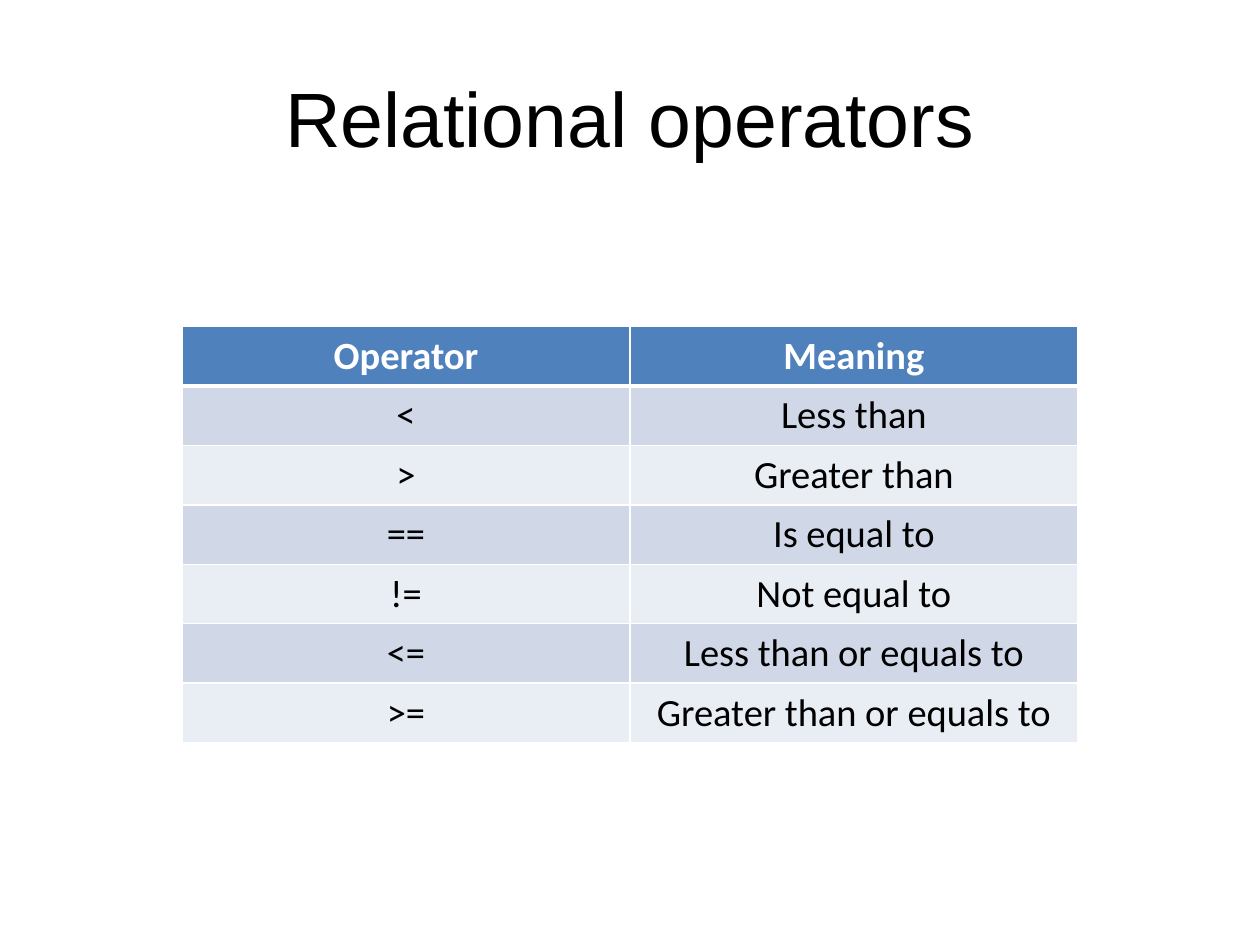
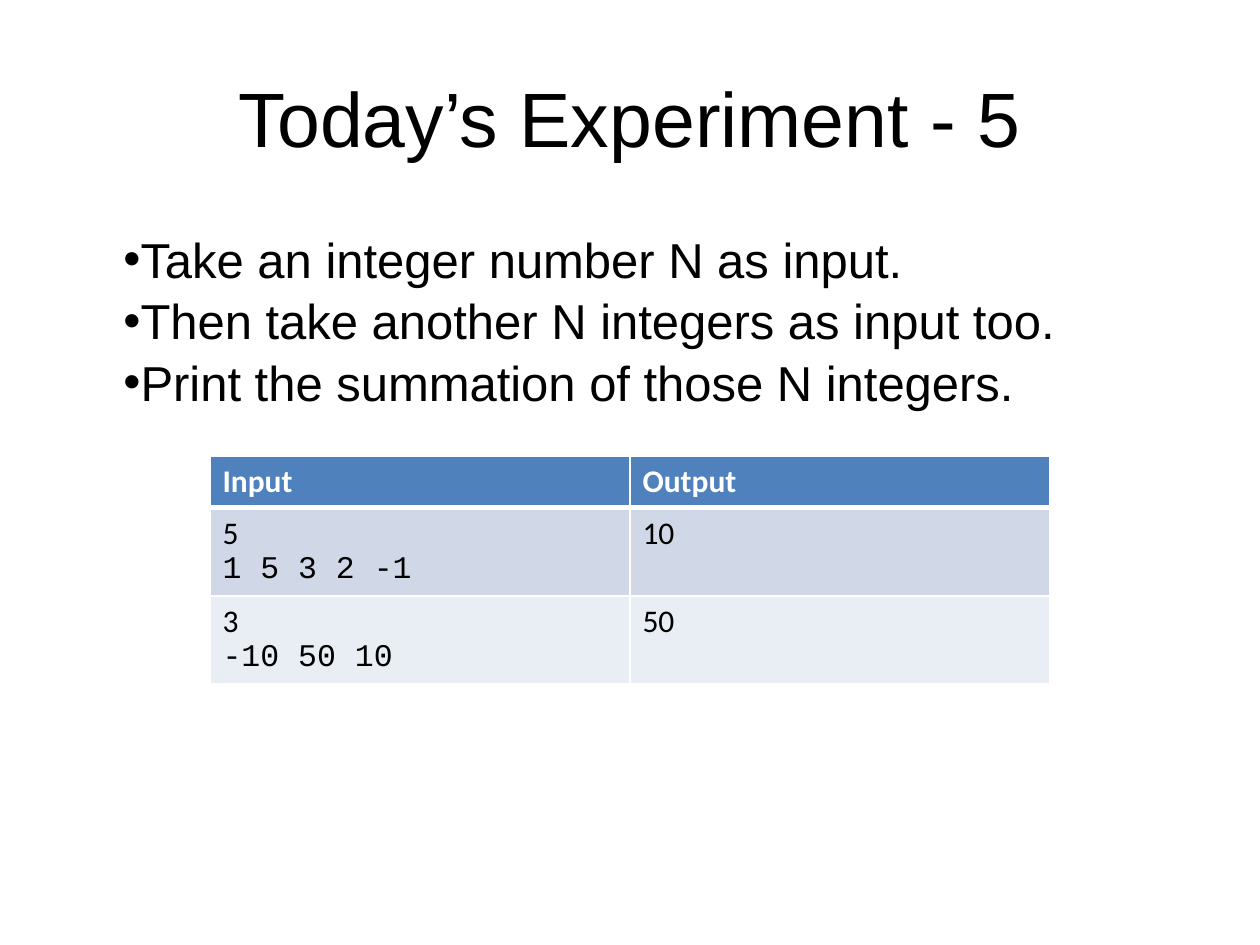
"""Build two slides on relational operators and a summing exercise."""
from lxml import etree
from pptx import Presentation, util as u
from pptx.dml.color import RGBColor
from pptx.enum import text as t
from pptx.oxml import ns

WIDE, HIGH = 10, 7.5
INK, PAPER, HEAD = "000000", "FFFFFF", "4F81BD"
BANDS = ["D0D8E8", "E9EDF4"]
SANS, BODY, CODE = "Arial", "Calibri", "Courier New"
ONLY, BOTH = 5, 1
MID = t.PP_ALIGN.CENTER
LEFT = t.PP_ALIGN.LEFT

SLIDES = [
    dict(
        title="Relational operators",
        points=[],
        rows=[
            ("Operator", "Meaning"),
            ("<", "Less than"),
            (">", "Greater than"),
            ("==", "Is equal to"),
            ("!=", "Not equal to"),
            ("<=", "Less than or equals to"),
            (">=", "Greater than or equals to"),
        ],
        top=2.59, width=7.11, head=0.47, row=0.47, size=22, align=MID,
    ),
    dict(
        title="Today’s Experiment - 5",
        points=[
            "Take an integer number N as input.",
            "Then take another N integers as input too.",
            "Print the summation of those N integers.",
        ],
        rows=[
            ("Input", "Output"),
            ("5\n1 5 3 2 -1", "10"),
            ("3\n-10 50 10", "50"),
        ],
        top=3.62, width=WIDE * 2 / 3, head=0.41, row=0.7, size=18, align=LEFT,
    ),
]


def tint(code):
    return RGBColor.from_string(code)


def write(frame, words, size, fonts=(SANS,), color=INK, bold=False,
          align=LEFT, before=0):
    """Write one paragraph a line; the last font serves the later lines."""
    for i, line in enumerate(words.split("\n")):
        para = frame.paragraphs[0] if i == 0 else frame.add_paragraph()
        para.alignment = align
        para.space_before = u.Pt(before)
        run = para.add_run()
        run.text = line
        font = run.font
        font.name = fonts[min(i, len(fonts) - 1)]
        font.size, font.bold = u.Pt(size), bold
        font.color.rgb = tint(color)


def place(shape, x, y, w, h):
    shape.left, shape.top = u.Inches(x), u.Inches(y)
    shape.width, shape.height = u.Inches(w), u.Inches(h)


def edge(cell, side, width):
    line = etree.SubElement(cell._tc.get_or_add_tcPr(), ns.qn("a:ln" + side),
                            w=str(u.Pt(width)))
    fill = etree.SubElement(line, ns.qn("a:solidFill"))
    etree.SubElement(fill, ns.qn("a:srgbClr"), val=PAPER)


def bullets(slide, points):
    box = slide.placeholders[1]
    place(box, 0.5, 1.77, 9, 4.95)
    write(box.text_frame, "\n".join(points), 28, before=1.5)
    for para in box.text_frame.paragraphs:
        props = para._p.get_or_add_pPr()
        props.set("marL", str(u.Inches(0.38)))
        props.set("indent", "0")
        etree.SubElement(props, ns.qn("a:buChar"), char="•")


def grid(slide, rows, top, width, head, row, size, align):
    cols = len(rows[0])
    high = head + row * (len(rows) - 1)
    table = slide.shapes.add_table(
        len(rows), cols, u.Inches((WIDE - width) / 2), u.Inches(top),
        u.Inches(width), u.Inches(high)).table
    for r, words in enumerate(rows):
        table.rows[r].height = u.Inches(row if r else head)
        for c, word in enumerate(words):
            cell = table.cell(r, c)
            for side in "LRTB":
                thick = (r, side) in [(0, "B"), (1, "T")]
                edge(cell, side, 3 if thick else 1)
            cell.fill.solid()
            cell.fill.fore_color.rgb = tint(BANDS[(r - 1) % 2] if r else HEAD)
            write(cell.text_frame, word, size, fonts=(BODY, CODE),
                  color=INK if r else PAPER, bold=r == 0, align=align)


def build(deck, title, points, **table):
    layout = deck.slide_layouts[BOTH if points else ONLY]
    slide = deck.slides.add_slide(layout)
    head = slide.shapes.title
    place(head, 0.5, 0.3, 9, 1.25)
    head.text_frame.vertical_anchor = t.MSO_ANCHOR.MIDDLE
    write(head.text_frame, title, 44, align=MID)
    if points:
        bullets(slide, points)
    grid(slide, **table)


def main():
    deck = Presentation()
    deck.slide_width, deck.slide_height = u.Inches(WIDE), u.Inches(HIGH)
    for page in SLIDES:
        build(deck, **page)
    deck.save("out.pptx")


if __name__ == "__main__":
    main()
